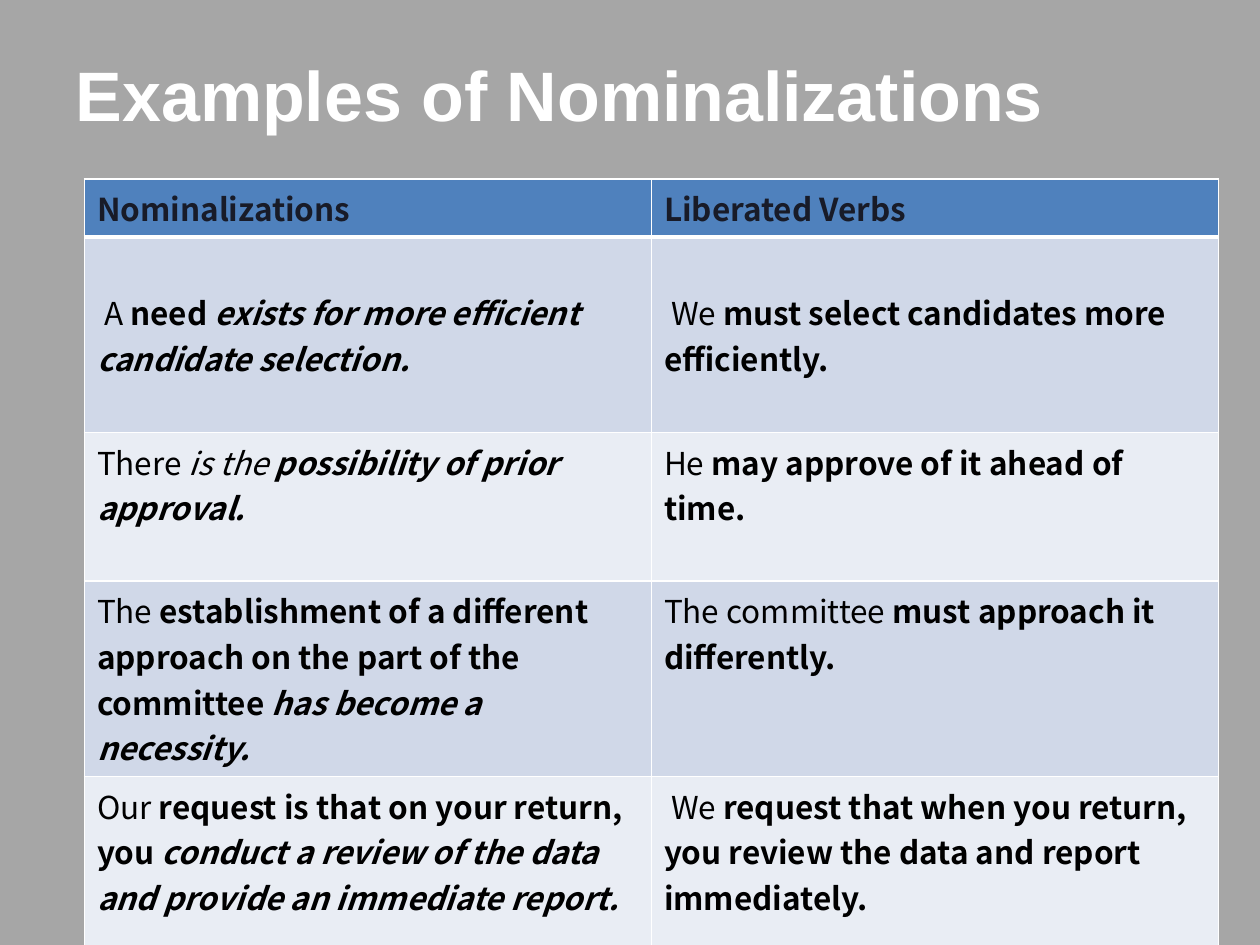
from lxml import etree
from pptx import Presentation
from pptx.dml.color import RGBColor as Rgb
from pptx.enum.text import MSO_ANCHOR as Anchor, PP_ALIGN as Align
from pptx.oxml.ns import qn
from pptx.util import Inches, Pt

HUES = {
    "back": "A6A6A6", "white": "FFFFFF", "head": "4F81BD",
    "dark": "181B28", "black": "000000", "odd": "D0D8E8", "even": "E9EDF4",
}
HEADS = ["Nominalizations", "Liberated Verbs"]
PAIRS = [
    ([[(" A ", ""), ("need ", "b"), ("exists for more efficient", "bi")],
      [("candidate selection.", "bi")]],
     [[(" We ", ""), ("must select candidates more", "b")],
      [("efficiently.", "b")]]),
    ([[("There ", ""), ("is the ", "i"), ("possibility of prior", "bi")],
      [("approval.", "bi")]],
     [[("He ", ""), ("may approve of it ahead of", "b")],
      [("time.", "b")]]),
    ([[("The ", ""),
       ("establishment of a different approach on the part of the", "b")],
      [("committee ", "b"), ("has become a necessity.", "bi")]],
     [[("The committee ", ""), ("must approach it", "b")],
      [("differently.", "b")]]),
    ([[("Our ", ""), ("request is that on your return, you ", "b"),
       ("conduct a review of the data and provide an immediate report.",
        "bi")]],
     [[(" We ", ""),
       ("request that when you return, you review the data and report "
        "immediately.", "b")]]),
]
ROWS = [0.46, 1.55, 1.18, 1.55, 1.35]


class Deck:
    def __init__(self):
        self.prs = Presentation()
        self.prs.slide_width, self.prs.slide_height = Inches(10), Inches(7.5)
        self.slide = self.prs.slides.add_slide(self.prs.slide_layouts[5])
        fill = self.slide.background.fill
        fill.solid()
        fill.fore_color.rgb = self.hue("back")

    def hue(self, name):
        return Rgb.from_string(HUES[name])

    def run(self, para, text, style, face, size, hue):
        run = para.add_run()
        run.text = text
        font = run.font
        font.name, font.size = face, Pt(size)
        font.bold, font.italic = "b" in style, "i" in style
        font.color.rgb = self.hue(hue)

    def title(self, text):
        box = self.slide.shapes.title
        box.left, box.top = Inches(0.5), Inches(0.3)
        box.width, box.height = Inches(9), Inches(1.25)
        frame = box.text_frame
        frame.vertical_anchor = Anchor.TOP
        frame.margin_top = Inches(0.11)
        para = frame.paragraphs[0]
        para.alignment = Align.LEFT
        self.run(para, text, "b", "Arial", 40, "white")

    def edge(self, cell, top, bottom):
        props = cell._tc.get_or_add_tcPr()
        sides = [("L", 1), ("R", 1), ("T", top), ("B", bottom)]
        for spot, (side, width) in enumerate(sides):
            line = etree.Element(qn(f"a:ln{side}"), w=str(Pt(width)))
            fill = etree.SubElement(line, qn("a:solidFill"))
            etree.SubElement(fill, qn("a:srgbClr"), val=HUES["white"])
            props.insert(spot, line)

    def cell(self, cell, paras, fill, hue):
        cell.fill.solid()
        cell.fill.fore_color.rgb = self.hue(fill)
        frame = cell.text_frame
        for num, runs in enumerate(paras):
            para = frame.add_paragraph() if num else frame.paragraphs[0]
            for text, style in runs:
                self.run(para, text, style, "Noto Sans CJK KR", 18, hue)

    def table(self, heads, pairs, rows):
        table = self.slide.shapes.add_table(
            len(rows), len(heads), Inches(0.67), Inches(1.42),
            Inches(9), Inches(sum(rows))).table
        for row, high in zip(table.rows, rows):
            row.height = Inches(high)
        body = [[[[(head, "b")]] for head in heads], *pairs]
        for r, line in enumerate(body):
            fill = "head" if r == 0 else "odd" if r % 2 else "even"
            for c, paras in enumerate(line):
                cell = table.cell(r, c)
                self.cell(cell, paras, fill, "black" if r else "dark")
                self.edge(cell, 3 if r == 1 else 1, 1 if r else 3)
                if r == 1:
                    cell.vertical_anchor = Anchor.MIDDLE


def main():
    deck = Deck()
    deck.title("Examples of Nominalizations")
    deck.table(HEADS, PAIRS, ROWS)
    deck.prs.save("out.pptx")


if __name__ == "__main__":
    main()
